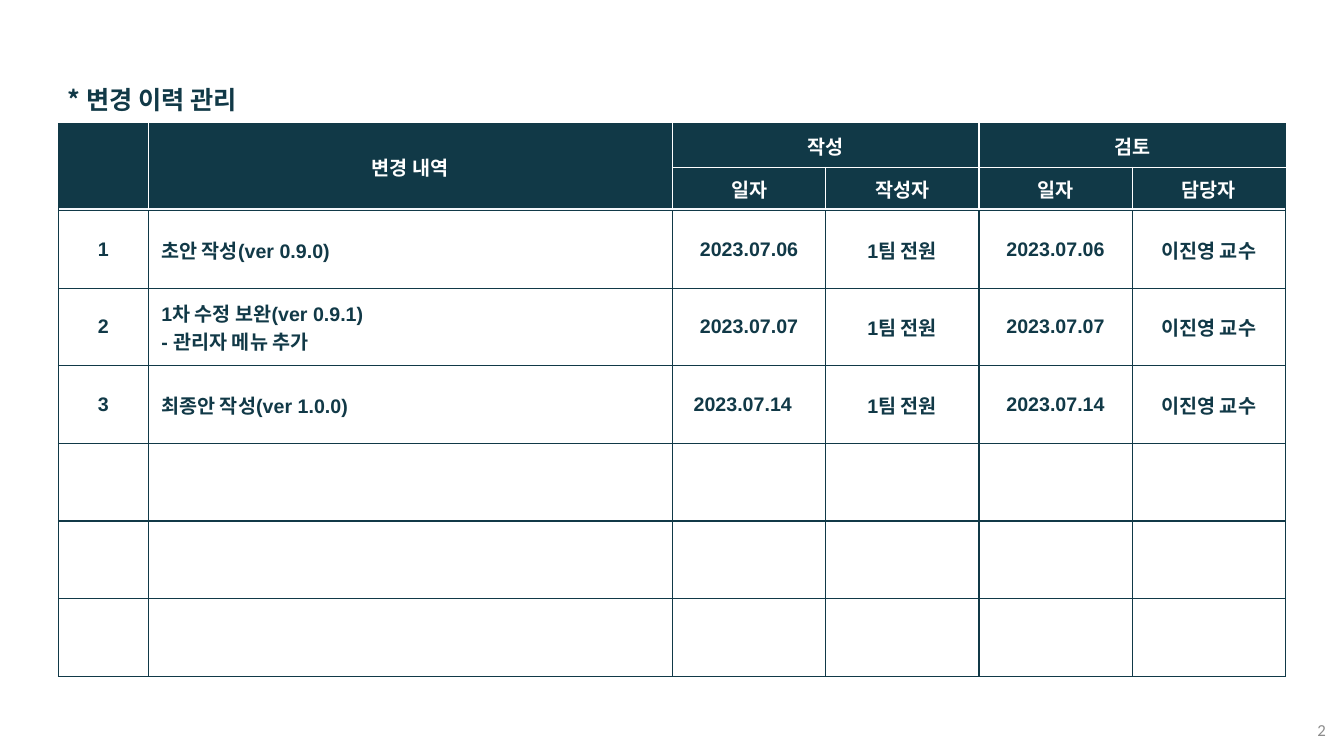
from lxml import etree
from pptx import Presentation
from pptx.dml.color import RGBColor
from pptx.enum.text import MSO_ANCHOR, MSO_AUTO_SIZE, PP_ALIGN
from pptx.oxml.ns import qn
from pptx.util import Inches, Pt

NAVY, WHITE, PALE, GRAY = "113947", "FFFFFF", "F6F8FC", "8C8C8C"
COL_WIDTHS = [0.89, 5.2] + [1.52] * 4
HEADER_ROWS, HEADER_HEIGHT = 2, 0.43
BODY_ROWS, BODY_HEIGHT = 6, 0.77
HEADERS = [
    ["", "변경 내역", "작성", "", "검토", ""],
    ["", "", "일자", "작성자", "일자", "담당자"],
]
CHANGES = [
    ("초안 작성(ver 0.9.0)", "2023.07.06"),
    ("1차 수정 보완(ver 0.9.1)\n- 관리자 메뉴 추가", "2023.07.07"),
    ("최종안 작성(ver 1.0.0)", "2023.07.14"),
]
MERGES = [(0, 0, 1, 0), (0, 1, 1, 1), (0, 2, 0, 3), (0, 4, 0, 5)]


def rgb(color):
    return RGBColor.from_string(color)


def style_text(tf, size, font, color, bold=False, align=PP_ALIGN.LEFT):
    for p in tf.paragraphs:
        p.alignment = align
        p.font.size = Pt(size)
        p.font.name = font
        p.font.bold = bold
        p.font.color.rgb = rgb(color)


def set_borders(cell, left, right, top, bottom):
    tcPr = cell._tc.get_or_add_tcPr()
    sides = zip("LRTB", (left, right, top, bottom))
    for i, (side, color) in enumerate(sides):
        ln = etree.Element(qn(f"a:ln{side}"), w=str(Pt(1)))
        fill = etree.SubElement(ln, qn("a:solidFill"))
        etree.SubElement(fill, qn("a:srgbClr"), val=color)
        tcPr.insert(i, ln)


def fill_header(cell, edge):
    if edge is None:
        cell.fill.solid()
        cell.fill.fore_color.rgb = rgb(NAVY)
        return
    cell.fill.gradient()
    cell.fill.gradient_angle = 90
    for stop, color in zip(cell.fill.gradient_stops, (PALE, NAVY)):
        stop.position = edge
        stop.color.rgb = rgb(color)


def write_cell(cell, text, color, align):
    cell.vertical_anchor = MSO_ANCHOR.MIDDLE
    cell.margin_left = cell.margin_right = Inches(0.13)
    cell.margin_top = cell.margin_bottom = Inches(0.07)
    cell.text = text
    style_text(cell.text_frame, 14, "Arial", color, True, align)


def format_header(table):
    for row, texts in enumerate(HEADERS):
        for col, text in enumerate(texts):
            cell = table.cell(row, col)
            write_cell(cell, text, WHITE, PP_ALIGN.CENTER)
            at_bottom = row + cell.span_height >= HEADER_ROWS
            at_right = col + cell.span_width >= len(COL_WIDTHS)
            edge = 0.03 if cell.span_height > 1 else 0.07
            fill_header(cell, edge if at_bottom else None)
            set_borders(
                cell,
                left=WHITE if col else NAVY,
                right=NAVY if at_right else WHITE,
                top=WHITE if row else NAVY,
                bottom=NAVY if at_bottom else WHITE,
            )


def format_body(table):
    records = [
        [str(n), change, date, "1팀 전원", date, "이진영 교수"]
        for n, (change, date) in enumerate(CHANGES, 1)
    ]
    records += [[""] * len(COL_WIDTHS)] * (BODY_ROWS - len(records))
    for row, record in enumerate(records, HEADER_ROWS):
        for col, text in enumerate(record):
            cell = table.cell(row, col)
            align = PP_ALIGN.LEFT if col == 1 else PP_ALIGN.CENTER
            write_cell(cell, text, NAVY, align)
            cell.fill.background()
            set_borders(cell, NAVY, NAVY, NAVY, NAVY)
    last_date = table.cell(HEADER_ROWS + len(CHANGES) - 1, 2)
    last_date.margin_left = Inches(0.21)
    last_date.text_frame.paragraphs[0].alignment = PP_ALIGN.LEFT


def add_history_table(slide):
    heights = [HEADER_HEIGHT] * HEADER_ROWS + [BODY_HEIGHT] * BODY_ROWS
    frame = slide.shapes.add_table(
        len(heights), len(COL_WIDTHS), Inches(0.58), Inches(1.23),
        Inches(sum(COL_WIDTHS)), Inches(sum(heights)))
    table = frame.table
    table.first_row = table.horz_banding = False
    for column, width in zip(table.columns, COL_WIDTHS):
        column.width = Inches(width)
    for row, height in zip(table.rows, heights):
        row.height = Inches(height)
    for top, left, bottom, right in MERGES:
        table.cell(top, left).merge(table.cell(bottom, right))
    format_header(table)
    format_body(table)


def set_title(slide, text):
    title = slide.shapes.title
    title.left, title.top = Inches(0.57), Inches(0.79)
    title.width, title.height = Inches(2.1), Inches(0.4)
    tf = title.text_frame
    tf.text = text
    tf.word_wrap = False
    tf.auto_size = MSO_AUTO_SIZE.NONE
    tf.vertical_anchor = MSO_ANCHOR.TOP
    style_text(tf, 18, "Noto Sans CJK KR", NAVY, bold=True)


def add_page_number(slide, number):
    box = slide.shapes.add_textbox(
        Inches(10.25), Inches(7.04), Inches(3), Inches(0.4))
    tf = box.text_frame
    tf.text = number
    tf.word_wrap = True
    tf.vertical_anchor = MSO_ANCHOR.MIDDLE
    style_text(tf, 12, "Calibri", GRAY, align=PP_ALIGN.RIGHT)


def main():
    prs = Presentation()
    prs.slide_width, prs.slide_height = Inches(13.33), Inches(7.5)
    slide = prs.slides.add_slide(prs.slide_layouts[5])
    add_history_table(slide)
    set_title(slide, "* 변경 이력 관리")
    add_page_number(slide, "2")
    prs.save("out.pptx")


if __name__ == "__main__":
    main()
